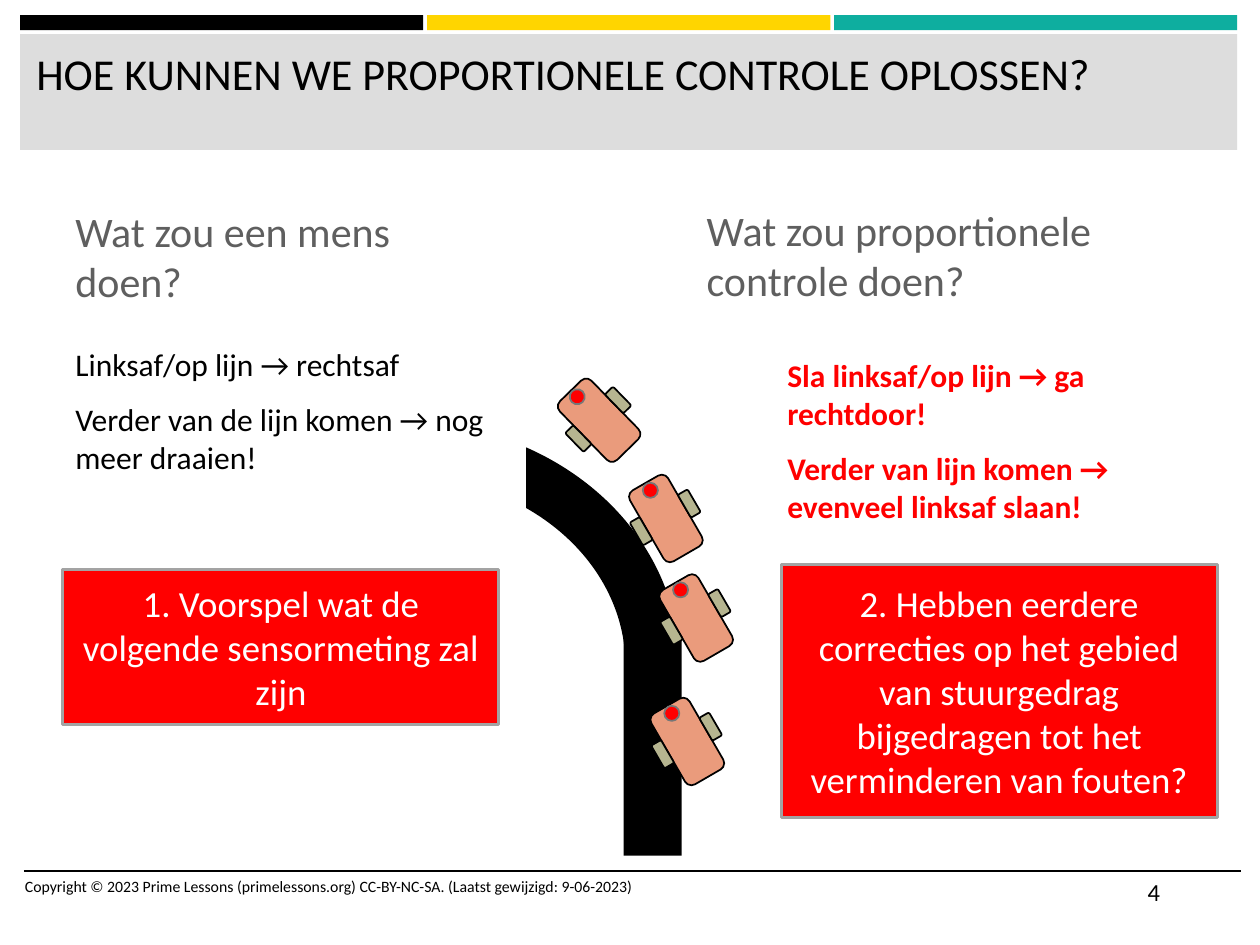
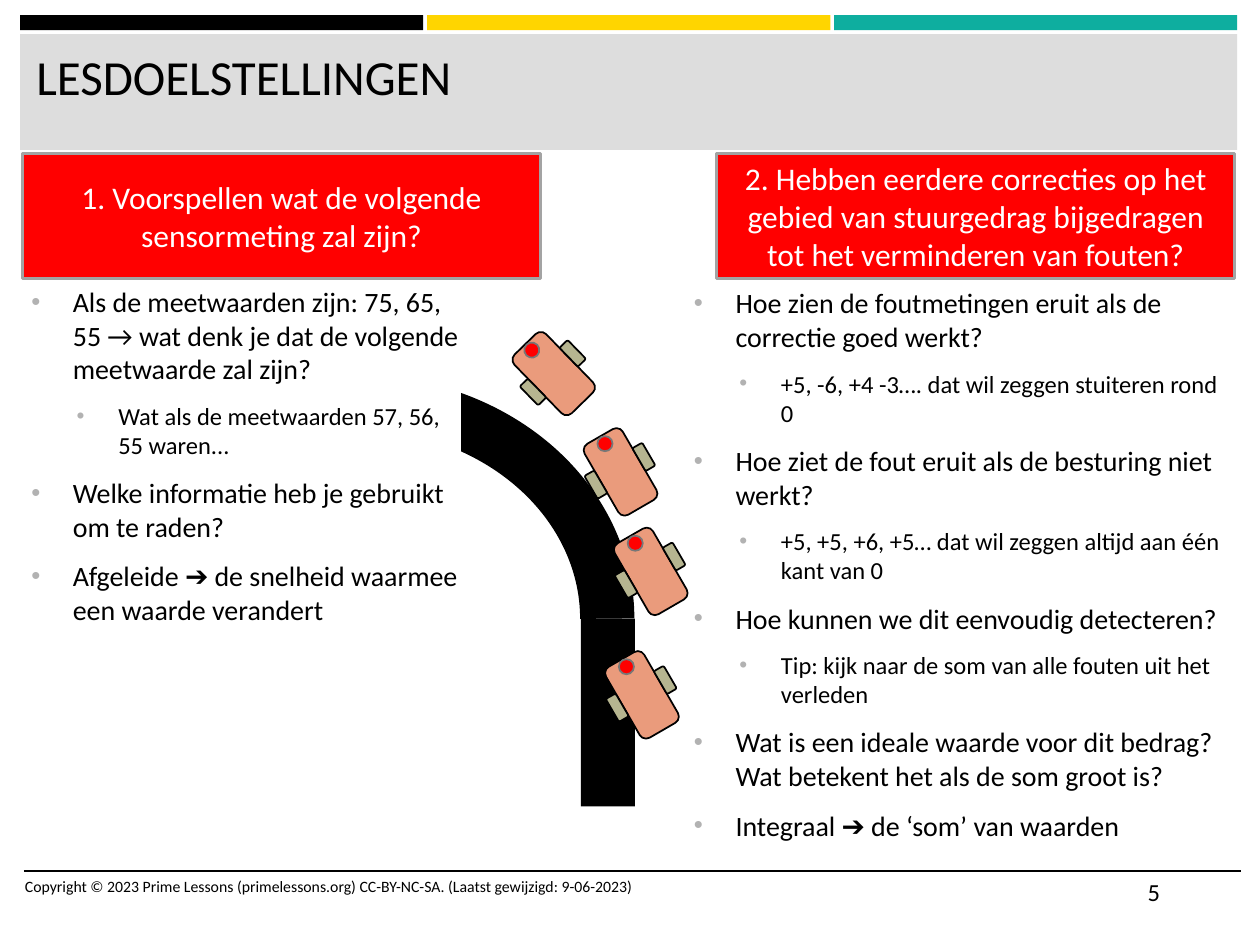
from lxml.etree import SubElement
from pptx import Presentation
from pptx.dml.color import RGBColor
from pptx.enum.shapes import MSO_CONNECTOR, MSO_SHAPE
from pptx.enum.text import MSO_ANCHOR, PP_ALIGN
from pptx.oxml.ns import qn
from pptx.util import Emu, Pt

EMU_PER_PX = 9144
FONT = "Calibri"
COLORS = {
    "black": "000000",
    "yellow": "FFD500",
    "teal": "0EAE9F",
    "band": "DDDDDD",
    "white": "FFFFFF",
    "red": "FF0000",
    "heading": "5F5F5F",
    "bullet": "B2B2B2",
    "box_line": "A3A3A3",
    "car": "EA9B7C",
    "wheel": "B6B590",
    "sensor_line": "777777",
}
COPYRIGHT = (
    "Copyright © 2023 Prime Lessons (primelessons.org) CC-BY-NC-SA. "
    "(Laatst gewijzigd: 9-06-2023)"
)
CAR_PLACES = [(401, 200, 330), (408, 102, 330), (384, 23, 330), (331, -55, 315.8)]


def px(length):
    return Emu(length * EMU_PER_PX)


def rgb(name):
    return RGBColor.from_string(COLORS[name])


def add_block(shapes, kind, box, fill, line=None, line_width=1):
    shape = shapes.add_shape(kind, *map(px, box))
    shape.shadow.inherit = False
    if fill:
        shape.fill.solid()
        shape.fill.fore_color.rgb = rgb(fill)
    else:
        shape.fill.background()
    if line:
        shape.line.color.rgb = rgb(line)
        shape.line.width = Pt(line_width)
    else:
        shape.line.fill.background()
    return shape


def style(paragraph, size, color="black", bold=False):
    font = paragraph.font
    font.name = FONT
    font.size = Pt(size)
    font.bold = bold
    font.color.rgb = rgb(color)


def add_bullet(paragraph, level):
    paragraph.level = level
    properties = paragraph._p.get_or_add_pPr()
    properties.set("marL", str(px(69 if level else 33)))
    properties.set("indent", str(px(-33)))
    bullet_color = SubElement(properties, qn("a:buClr"))
    SubElement(bullet_color, qn("a:srgbClr"), val=COLORS["bullet"])
    SubElement(properties, qn("a:buSzPct"), val="92000")
    SubElement(properties, qn("a:buFont"), typeface="Arial")
    SubElement(properties, qn("a:buChar"), char="•")


def add_paragraphs(slide, box, texts):
    frame = slide.shapes.add_textbox(*map(px, box)).text_frame
    frame.word_wrap = True
    for index, text in enumerate(texts):
        paragraph = frame.add_paragraph() if index else frame.paragraphs[0]
        paragraph.text = text
        yield index, paragraph


def add_text(slide, box, texts, size, color="black", bold=False):
    for index, paragraph in add_paragraphs(slide, box, texts):
        if index:
            paragraph.space_before = Pt(size * 0.2)
        if len(texts) > 1:
            paragraph.space_after = Pt(6)
        style(paragraph, size, color, bold)


def add_bullets(slide, box, items):
    levels = [level for level, text in items]
    for index, paragraph in add_paragraphs(slide, box, [text for level, text in items]):
        size = 14 if levels[index] else 16
        add_bullet(paragraph, levels[index])
        if index:
            paragraph.space_before = Pt(size * 0.2)
        paragraph.space_after = Pt(6)
        style(paragraph, size)


def add_question(slide, box, text, size):
    shape = add_block(slide.shapes, MSO_SHAPE.RECTANGLE, box, "red", "box_line", 1.75)
    frame = shape.text_frame
    frame.word_wrap = True
    frame.vertical_anchor = MSO_ANCHOR.MIDDLE
    paragraph = frame.paragraphs[0]
    paragraph.text = text
    paragraph.alignment = PP_ALIGN.CENTER
    style(paragraph, size, "white")


def add_car(slide, left, top, rotation):
    group = slide.shapes.add_group_shape()
    add_block(group.shapes, MSO_SHAPE.ROUNDED_RECTANGLE, (left + 9, top, 35, 65), "car", "black")
    for wheel_left in (left + 44, left):
        add_block(group.shapes, MSO_SHAPE.ROUNDED_RECTANGLE, (wheel_left, top + 21, 9, 21), "wheel", "black")
    add_block(group.shapes, MSO_SHAPE.OVAL, (left + 21, top + 1, 12, 12), "red", "sensor_line")
    group.rotation = rotation


def add_track(slide, left, top, straight, cover):
    def place(box):
        return (left + box[0], top + box[1], *box[2:])

    add_block(slide.shapes, MSO_SHAPE.RECTANGLE, place(straight), "black")
    add_block(slide.shapes, MSO_SHAPE.ARC, (left, top, 400, 344), None, "black", 31)
    for car_left, car_top, rotation in CAR_PLACES:
        add_car(slide, left + car_left, top + car_top, rotation)
    add_block(slide.shapes, MSO_SHAPE.RECTANGLE, place(cover), "white", "white", 1.75)


def add_frame(presentation, title, title_size, number):
    slide = presentation.slides.add_slide(presentation.slide_layouts[6])
    for index, color in enumerate(("black", "yellow", "teal")):
        add_block(slide.shapes, MSO_SHAPE.RECTANGLE, (16 + index * 323, 12, 320, 12), color)
    add_block(slide.shapes, MSO_SHAPE.RECTANGLE, (16, 27, 966, 92), "band")
    footer_line = slide.shapes.add_connector(MSO_CONNECTOR.STRAIGHT, *map(px, (19, 691, 985, 691)))
    footer_line.line.color.rgb = rgb("black")
    footer_line.line.width = Pt(1)
    SubElement(footer_line._element.spPr, qn("a:effectLst"))
    add_text(slide, (19, 32, 957, 82), [title], title_size)
    add_text(slide, (10, 691, 533, 40), [COPYRIGHT], 9)
    add_text(slide, (901, 691, 84, 40), [str(number)], 14)
    return slide


def build_comparison(presentation):
    slide = add_frame(presentation, "HOE KUNNEN WE PROPORTIONELE CONTROLE OPLOSSEN?", 25.2, 4)
    add_text(slide, (50, 158, 300, 61), ["Wat zou een mens doen?"], 24, "heading")
    add_text(slide, (551, 157, 418, 61), ["Wat zou proportionele controle doen?"], 24, "heading")
    add_track(slide, 118, 356, (377, 151, 46, 172), (157, -67, 141, 123))
    add_text(slide, (50, 269, 346, 241), [
        "Linksaf/op lijn → rechtsaf",
        "Verder van de lijn komen → nog meer draaien!",
    ], 18)
    add_text(slide, (615, 278, 339, 241), [
        "Sla linksaf/op lijn → ga rechtdoor!",
        "Verder van lijn komen → evenveel linksaf slaan!",
    ], 18, "red", True)
    add_question(slide, (50, 452, 346, 123), "1. Voorspel wat de volgende sensormeting zal zijn", 21)
    add_question(
        slide, (620, 448, 346, 201),
        "2. Hebben eerdere correcties op het gebied van stuurgedrag "
        "bijgedragen tot het verminderen van fouten?", 21,
    )


def build_objectives(presentation):
    slide = add_frame(presentation, "LESDOELSTELLINGEN", 28, 5)
    add_track(slide, 82, 319, (379, 172, 43, 149), (142, -52, 141, 96))
    add_question(slide, (18, 122, 411, 99), "1. Voorspellen wat de volgende sensormeting zal zijn?", 18)
    add_question(
        slide, (569, 122, 411, 99),
        "2. Hebben eerdere correcties op het gebied van stuurgedrag "
        "bijgedragen tot het verminderen van fouten?", 18,
    )
    add_bullets(slide, (15, 221, 361, 353), [
        (0, "Als de meetwaarden zijn: 75, 65, 55 → wat denk je dat de volgende meetwaarde zal zijn?"),
        (1, "Wat als de meetwaarden 57, 56, 55 waren..."),
        (0, "Welke informatie heb je gebruikt om te raden?"),
        (0, "Afgeleide ➔ de snelheid waarmee een waarde verandert"),
    ])
    add_bullets(slide, (541, 222, 444, 501), [
        (0, "Hoe zien de foutmetingen eruit als de correctie goed werkt?"),
        (1, "+5, -6, +4 -3…. dat wil zeggen stuiteren rond 0"),
        (0, "Hoe ziet de fout eruit als de besturing niet werkt?"),
        (1, "+5, +5, +6, +5… dat wil zeggen altijd aan één kant van 0"),
        (0, "Hoe kunnen we dit eenvoudig detecteren?"),
        (1, "Tip: kijk naar de som van alle fouten uit het verleden"),
        (0, "Wat is een ideale waarde voor dit bedrag? Wat betekent het als de som groot is?"),
        (0, "Integraal ➔ de ‘som’ van waarden"),
    ])


def main():
    presentation = Presentation()
    presentation.slide_width = px(1000)
    presentation.slide_height = px(750)
    build_comparison(presentation)
    build_objectives(presentation)
    presentation.save("out.pptx")


if __name__ == "__main__":
    main()
